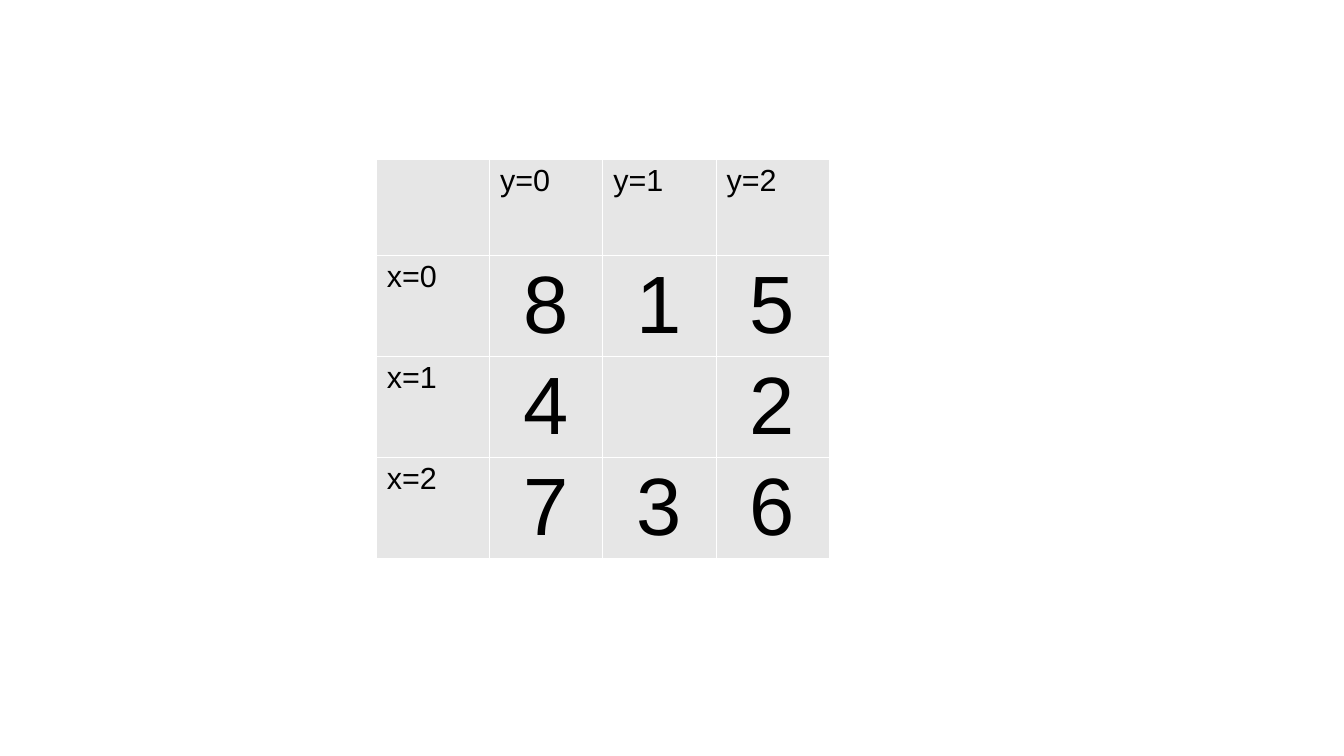
from dataclasses import dataclass

from lxml import etree
from pptx import Presentation
from pptx.dml.color import RGBColor
from pptx.enum.text import PP_ALIGN
from pptx.oxml.ns import qn
from pptx.util import Pt

PX = 914400 // 122
LEFT, MID = PP_ALIGN.LEFT, PP_ALIGN.CENTER
BLANK = 6


@dataclass(frozen=True)
class Theme:
    """Colours, font and type sizes of the slide."""
    font: str = "Arial"
    ink: str = "000000"
    fill: str = "E6E6E6"
    rule: str = "FFFFFF"
    label: int = 18
    digit: int = 48
    line: float = 0.06


THEME = Theme()
GRID = [
    ["", "y=0", "y=1", "y=2"],
    ["x=0", "8", "1", "5"],
    ["x=1", "4", "", "2"],
    ["x=2", "7", "3", "6"],
]


def add_rules(cell):
    """Draw a thin rule on each side of a cell."""
    props = cell._tc.get_or_add_tcPr()
    for spot, side in enumerate(("a:lnL", "a:lnR", "a:lnT", "a:lnB")):
        line = etree.Element(qn(side), w=str(int(Pt(THEME.line))))
        fill = etree.SubElement(line, qn("a:solidFill"))
        etree.SubElement(fill, qn("a:srgbClr"), val=THEME.rule)
        props.insert(spot, line)


def set_cell(cell, text, head):
    """Fill a cell and set its text as a label or a digit."""
    cell.fill.solid()
    cell.fill.fore_color.rgb = RGBColor.from_string(THEME.fill)
    cell.margin_left = cell.margin_right = 11 * PX
    cell.margin_top = cell.margin_bottom = 5 * PX
    add_rules(cell)
    if not text:
        return
    cell.text = text
    para = cell.text_frame.paragraphs[0]
    para.alignment = LEFT if head else MID
    para.font.name = THEME.font
    para.font.size = Pt(THEME.label if head else THEME.digit)
    para.font.bold = False
    para.font.color.rgb = RGBColor.from_string(THEME.ink)


def add_grid(slide, box):
    """Place the number grid in the given box."""
    rows, cols = len(GRID), len(GRID[0])
    left, top, width, height = (side * PX for side in box)
    table = slide.shapes.add_table(rows, cols, left, top, width, height).table
    table.first_row = table.horz_banding = False
    for row, texts in enumerate(GRID):
        for col, text in enumerate(texts):
            set_cell(table.cell(row, col), text, row == 0 or col == 0)


def main():
    """Build the slide and save it."""
    deck = Presentation()
    deck.slide_width, deck.slide_height = 1344 * PX, 756 * PX
    slide = deck.slides.add_slide(deck.slide_layouts[BLANK])
    add_grid(slide, (376, 159, 453, 384))
    deck.save("out.pptx")


if __name__ == "__main__":
    main()
